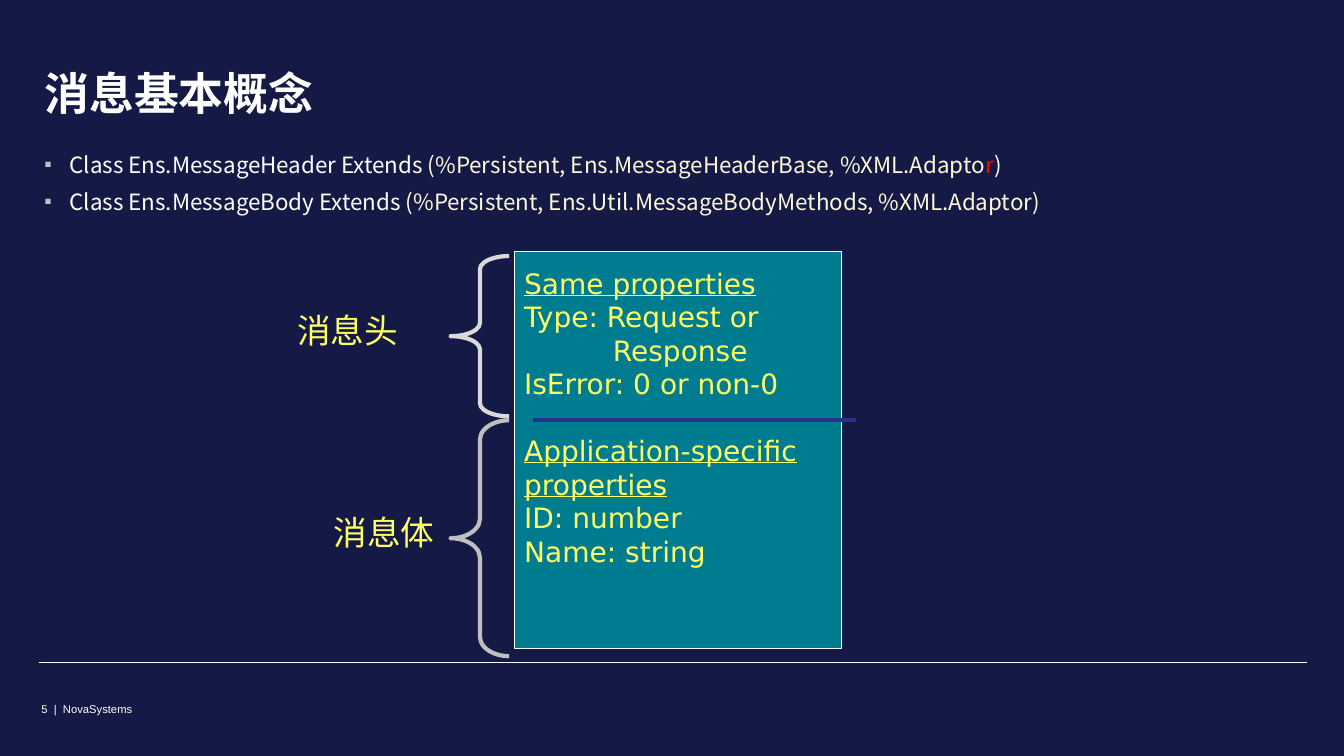
from lxml import etree
from pptx import Presentation
from pptx.dml.color import RGBColor
from pptx.enum.shapes import MSO_CONNECTOR, MSO_SHAPE
from pptx.enum.text import MSO_ANCHOR, MSO_AUTO_SIZE, PP_ALIGN
from pptx.oxml.ns import qn
from pptx.util import Inches, Pt

RECTANGLE, LEFT_BRACE = MSO_SHAPE.RECTANGLE, MSO_SHAPE.LEFT_BRACE
STRAIGHT = MSO_CONNECTOR.STRAIGHT
TOP, BOTTOM = MSO_ANCHOR.TOP, MSO_ANCHOR.BOTTOM
LEFT = PP_ALIGN.LEFT
NO_AUTOFIT = MSO_AUTO_SIZE.NONE

COLORS = {
    "navy": "141945", "white": "FFFFFF", "cream": "FEF9D8", "red": "FF0000",
    "teal": "007C91", "yellow": "FFFF66", "blue": "27318A",
    "light_gray": "D9D9D9", "gray": "BFBFBF",
}
SANS, CJK, DEJAVU = "Arial", "Noto Sans CJK SC", "DejaVu Sans"

CLASS_LINES = [
    [("Class Ens.MessageHeader Extends ", "white"),
     ("(%Persistent, Ens.MessageHeaderBase, %XML.Adapto", "cream"),
     ("r", "red"), (")", "white")],
    [("Class Ens.MessageBody Extends ", "white"),
     ("(%Persistent, Ens.Util.MessageBodyMethods, %XML.Adaptor)", "cream")],
]
# text, underlined, left indent in inches, space before in points
MESSAGE_LINES = [
    ("Same properties", True, 0, 0),
    ("Type: Request or", False, 0, 0),
    ("Response", False, 0.88, 0),
    ("IsError: 0 or non-0", False, 0, 0),
    ("Application-specific", True, 0, 23.5),
    ("properties", True, 0, 0),
    ("ID: number", False, 0, 0),
    ("Name: string", False, 0, 0),
]
# label, label left, label top, brace top, brace height, curl, color
MESSAGE_PARTS = [
    ("消息头", 2.85, 3.03, 2.54, 1.59, 0.226, "light_gray"),
    ("消息体", 3.21, 5.03, 4.17, 2.34, 0.333, "gray"),
]


def rgb(name):
    return RGBColor.from_string(COLORS[name])


def set_values(target, **values):
    for name, value in values.items():
        setattr(target, name, value)


def place(shape, left, top, width, height):
    set_values(shape, left=Inches(left), top=Inches(top),
               width=Inches(width), height=Inches(height))


def set_margins(frame, left, top, right, bottom):
    set_values(frame, margin_left=Inches(left), margin_top=Inches(top),
               margin_right=Inches(right), margin_bottom=Inches(bottom))


def add_run(paragraph, text, font, size, color, **formats):
    run = paragraph.add_run()
    run.text = text
    set_values(run.font, name=font, size=Pt(size), **formats)
    run.font.color.rgb = rgb(color)
    east_asian = etree.SubElement(run.font._element, qn("a:ea"))
    east_asian.set("typeface", CJK)


def set_indent(paragraph, left, first=0):
    properties = paragraph._p.get_or_add_pPr()
    properties.set("marL", str(Inches(left)))
    properties.set("indent", str(Inches(first)))
    return properties


def add_bullet(paragraph):
    properties = set_indent(paragraph, 0.25, -0.25)
    color = etree.SubElement(properties, qn("a:buClr"))
    etree.SubElement(color, qn("a:srgbClr")).set("val", COLORS["gray"])
    etree.SubElement(properties, qn("a:buSzPct")).set("val", "95000")
    etree.SubElement(properties, qn("a:buChar")).set("char", "▪")


def paragraphs(frame, count):
    """Yield the first paragraph of the frame, then new ones."""
    yield frame.paragraphs[0]
    for _ in range(count - 1):
        yield frame.add_paragraph()


def add_line(slide, left, right, y, color, width):
    line = slide.shapes.add_connector(
        STRAIGHT, Inches(left), Inches(y), Inches(right), Inches(y))
    line.line.color.rgb = rgb(color)
    line.line.width = Pt(width)
    etree.SubElement(line._element.spPr, qn("a:effectLst"))


def add_text(slide, box, text, font, size, color, margins):
    shape = slide.shapes.add_textbox(*map(Inches, box))
    frame = shape.text_frame
    frame.word_wrap = False
    set_margins(frame, *margins)
    add_run(frame.paragraphs[0], text, font, size, color)
    return frame.paragraphs[0]


def add_outlined_shape(slide, kind, box, color, width):
    shape = slide.shapes.add_shape(kind, *map(Inches, box))
    shape.shadow.inherit = False
    shape.fill.background()
    shape.line.color.rgb = rgb(color)
    shape.line.width = Pt(width)
    return shape


def fill_title(title):
    place(title, 0.39, 0.25, 12.57, 0.94)
    frame = title.text_frame
    set_values(frame, vertical_anchor=BOTTOM, auto_size=NO_AUTOFIT)
    set_margins(frame, 0.05, 0.05, 0.05, 0)
    paragraph = frame.paragraphs[0]
    set_values(paragraph, alignment=LEFT, line_spacing=0.9)
    add_run(paragraph, "消息基本概念", CJK, 32, "white", bold=True)


def fill_class_list(body):
    place(body, 0.39, 1.45, 12.57, 4.86)
    frame = body.text_frame
    set_values(frame, vertical_anchor=TOP, auto_size=NO_AUTOFIT)
    set_margins(frame, 0.05, 0.05, 0.05, 0.05)
    for paragraph, runs in zip(paragraphs(frame, len(CLASS_LINES)), CLASS_LINES):
        set_values(paragraph, space_before=Pt(3), space_after=Pt(4))
        add_bullet(paragraph)
        for text, color in runs:
            add_run(paragraph, text, CJK, 16, color)


def add_message_box(slide):
    box = add_outlined_shape(slide, RECTANGLE, (5.1, 2.5, 3.25, 3.93), "white", 0.75)
    box.fill.solid()
    box.fill.fore_color.rgb = rgb("teal")
    frame = box.text_frame
    set_values(frame, vertical_anchor=TOP, word_wrap=True)
    set_margins(frame, 0.1, 0.14, 0.1, 0.05)
    lines = zip(paragraphs(frame, len(MESSAGE_LINES)), MESSAGE_LINES)
    for paragraph, (text, underline, indent, before) in lines:
        set_values(paragraph, alignment=LEFT, space_before=Pt(before))
        set_indent(paragraph, indent)
        add_run(paragraph, text, DEJAVU, 20, "yellow", underline=underline)


def add_message_part(slide, label, left, top, brace_top, height, curl, color):
    brace = add_outlined_shape(
        slide, LEFT_BRACE, (4.47, brace_top, 0.58, height), color, 3)
    brace.adjustments[0] = curl
    add_text(slide, (left, top, 1.21, 0.5), label, DEJAVU, 24, "yellow",
             (0.1, 0.05, 0.1, 0.05))


def add_footer(slide):
    add_line(slide, 0.39, 12.96, 6.57, "white", 0.75)
    paragraph = add_text(slide, (0.39, 6.95, 4.7, 0.18), "5  |  NovaSystems",
                         SANS, 8, "white", (0.02, 0.02, 0.02, 0.02))
    paragraph.line_spacing = 1.0
    set_values(paragraph, space_before=Pt(3), space_after=Pt(4))


def main():
    presentation = Presentation()
    set_values(presentation, slide_width=Inches(13.33), slide_height=Inches(7.5))
    slide = presentation.slides.add_slide(presentation.slide_layouts[1])
    slide.background.fill.solid()
    slide.background.fill.fore_color.rgb = rgb("navy")
    add_footer(slide)
    fill_title(slide.shapes.title)
    fill_class_list(slide.placeholders[1])
    add_message_box(slide)
    add_line(slide, 5.29, 8.49, 4.17, "blue", 3)
    for part in MESSAGE_PARTS:
        add_message_part(slide, *part)
    presentation.save("out.pptx")


if __name__ == "__main__":
    main()
